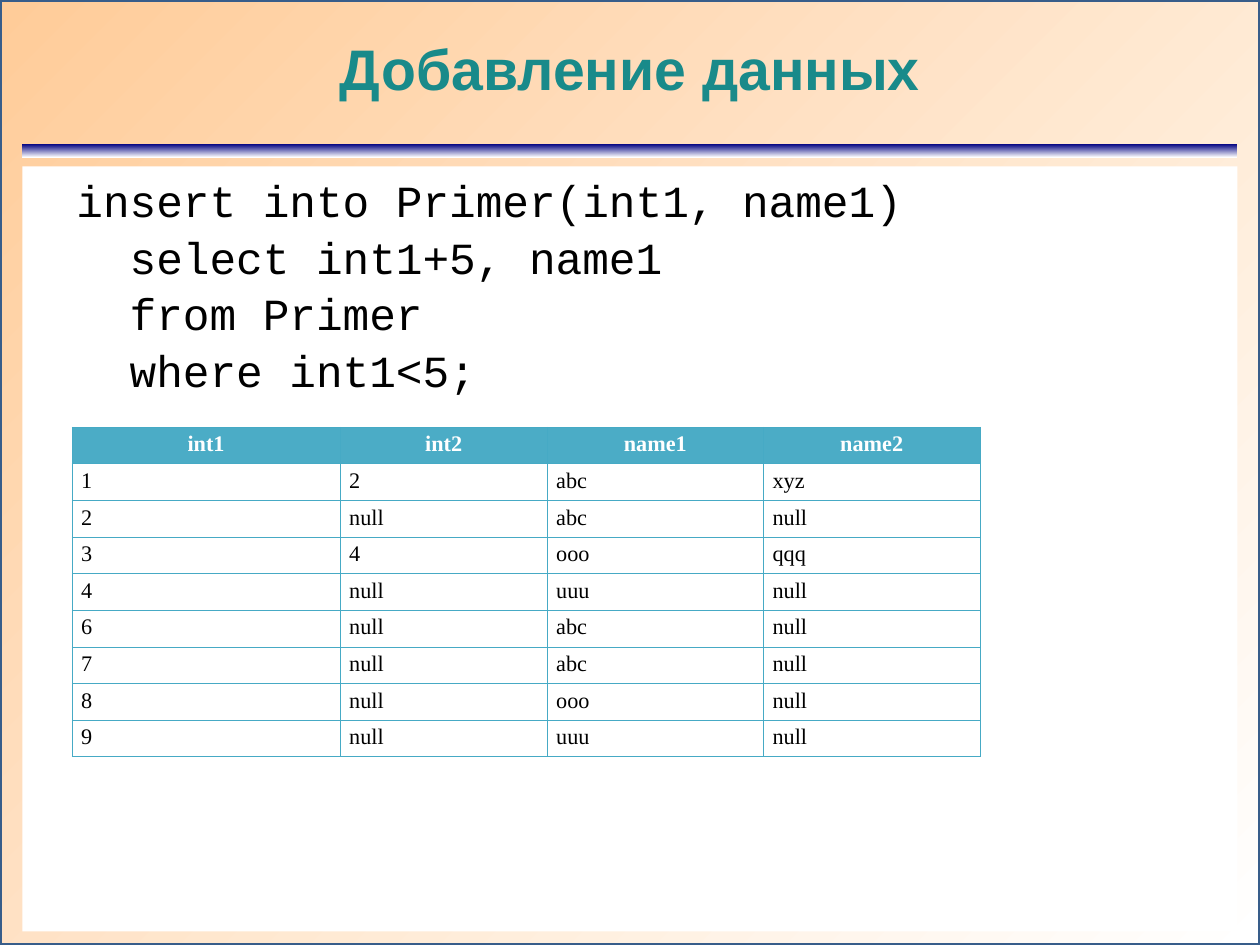
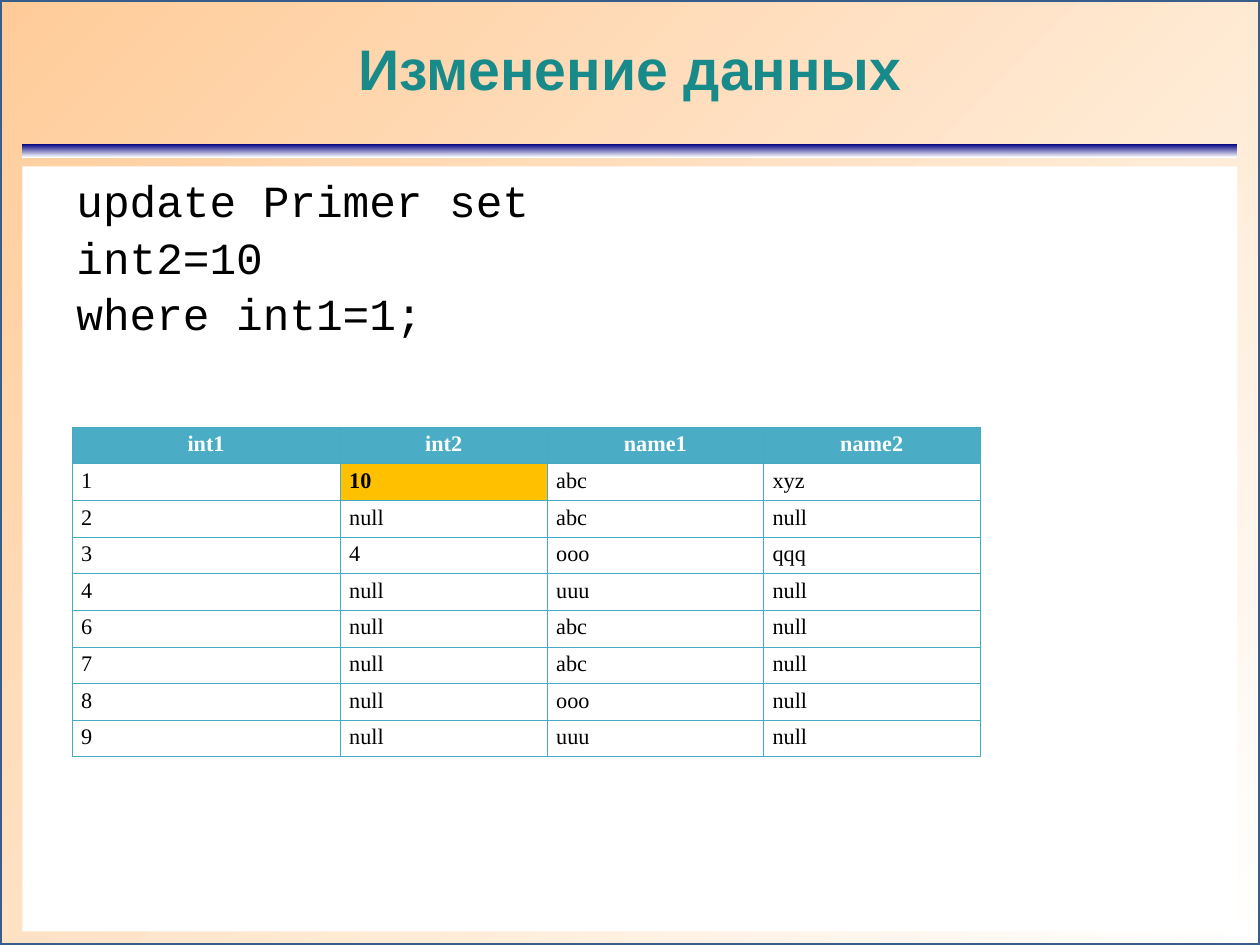
from lxml.etree import SubElement
from pptx import Presentation
from pptx.dml.color import RGBColor
from pptx.enum.shapes import MSO_SHAPE
from pptx.enum.text import MSO_ANCHOR, PP_ALIGN
from pptx.oxml.ns import qn
from pptx.util import Cm, Pt

COLORS = {
    "white": "FFFFFF",
    "peach": "FFCC99",
    "frame": "385D8A",
    "navy": "000080",
    "title": "198A8A",
    "text": "000000",
    "header": "4BACC6",
    "grid": "46AAC5",
    "changed": "FFC000",
}

COLUMNS = [("int1", 5.96), ("int2", 4.6), ("name1", 4.81), ("name2", 4.81)]
PRIMER = [
    ("1", "2", "abc", "xyz"),
    ("2", "null", "abc", "null"),
    ("3", "4", "ooo", "qqq"),
    ("4", "null", "uuu", "null"),
    ("6", "null", "abc", "null"),
    ("7", "null", "abc", "null"),
    ("8", "null", "ooo", "null"),
    ("9", "null", "uuu", "null"),
]
SLIDES = [
    {
        "title": "Добавление данных",
        "query": [
            "insert into Primer(int1, name1)",
            "  select int1+5, name1",
            "  from Primer",
            "  where int1<5;",
        ],
        "changes": {},
    },
    {
        "title": "Изменение данных",
        "query": ["update Primer set", "int2=10", "where int1=1;"],
        "changes": {(1, 1): "10"},
    },
]

WIDTH, HEIGHT, MARGIN = 28, 21, 0.5
INNER = WIDTH - 2 * MARGIN
ROW_HEIGHT = 0.8


def color(name):
    return RGBColor.from_string(COLORS[name])


def add_panel(slide, left, top, width, height, fills, angle=0, border=None):
    panel = slide.shapes.add_shape(
        MSO_SHAPE.RECTANGLE, Cm(left), Cm(top), Cm(width), Cm(height))
    panel.shadow.inherit = False
    if len(fills) == 1:
        panel.fill.solid()
        panel.fill.fore_color.rgb = color(fills[0])
    else:
        panel.fill.gradient()
        panel.fill.gradient_angle = angle
        for stop, name in zip(panel.fill.gradient_stops, fills):
            stop.color.rgb = color(name)
    if border:
        panel.line.color.rgb = color(border)
        panel.line.width = Pt(2)
    else:
        panel.line.fill.background()
    return panel


def set_margins(frame, horizontal=0, vertical=0):
    frame.margin_left = frame.margin_right = Cm(horizontal)
    frame.margin_top = frame.margin_bottom = Cm(vertical)


def write(paragraph, text, font, size, ink, bold=False, align=PP_ALIGN.LEFT):
    paragraph.alignment = align
    run = paragraph.add_run()
    run.text = text
    run.font.name = font
    run.font.size = Pt(size)
    run.font.bold = bold
    run.font.color.rgb = color(ink)


def add_background(slide):
    add_panel(slide, 0, 0, WIDTH, HEIGHT, ["white", "peach"], 135, "frame")
    add_panel(slide, MARGIN, 3.2, INNER, 0.3, ["navy", "white"], 270)


def add_title(slide, text):
    title = slide.shapes.add_textbox(Cm(MARGIN), Cm(0.5), Cm(INNER), Cm(2)).text_frame
    title.word_wrap = True
    title.vertical_anchor = MSO_ANCHOR.MIDDLE
    set_margins(title)
    write(title.paragraphs[0], text, "Arial", 36, "title", True, PP_ALIGN.CENTER)


def add_query(slide, lines):
    query = add_panel(slide, MARGIN, 3.7, INNER, 17, ["white"]).text_frame
    query.word_wrap = True
    query.vertical_anchor = MSO_ANCHOR.TOP
    set_margins(query, 0, 0.15)
    for number, line in enumerate(lines):
        paragraph = query.add_paragraph() if number else query.paragraphs[0]
        if number:
            paragraph.space_before = Pt(2)
        paragraph._p.get_or_add_pPr().set("marL", str(Cm(1.2)))
        write(paragraph, line, "Courier New", 28, "text")


def add_borders(cell):
    properties = cell._tc.get_or_add_tcPr()
    for side in ("lnL", "lnR", "lnT", "lnB"):
        edge = SubElement(properties, qn(f"a:{side}"), w=str(Pt(0.34)))
        fill = SubElement(edge, qn("a:solidFill"))
        SubElement(fill, qn("a:srgbClr"), val=COLORS["grid"])


def add_primer(slide, changes):
    rows = [[name for name, _ in COLUMNS], *PRIMER]
    primer = slide.shapes.add_table(
        len(rows), len(COLUMNS), Cm(1.6), Cm(9.49),
        Cm(sum(width for _, width in COLUMNS)), Cm(ROW_HEIGHT * len(rows))).table
    primer.horz_banding = False
    for column, (_, width) in zip(primer.columns, COLUMNS):
        column.width = Cm(width)
    for r, row in enumerate(rows):
        primer.rows[r].height = Cm(ROW_HEIGHT)
        for c, value in enumerate(row):
            cell = primer.cell(r, c)
            changed = (r, c) in changes
            header = r == 0
            set_margins(cell, 0.2, 0.11)
            add_borders(cell)
            cell.fill.solid()
            cell.fill.fore_color.rgb = color(
                "header" if header else "changed" if changed else "white")
            if header:
                align = PP_ALIGN.CENTER
            else:
                align = PP_ALIGN.JUSTIFY if c == len(row) - 1 else PP_ALIGN.LEFT
            write(cell.text_frame.paragraphs[0], changes.get((r, c), value),
                  "Times New Roman", 14, "white" if header else "text",
                  header or changed, align)


def main():
    deck = Presentation()
    deck.slide_width, deck.slide_height = Cm(WIDTH), Cm(HEIGHT)
    for content in SLIDES:
        slide = deck.slides.add_slide(deck.slide_layouts[6])
        add_background(slide)
        add_title(slide, content["title"])
        add_query(slide, content["query"])
        add_primer(slide, content["changes"])
    deck.save("out.pptx")


if __name__ == "__main__":
    main()
